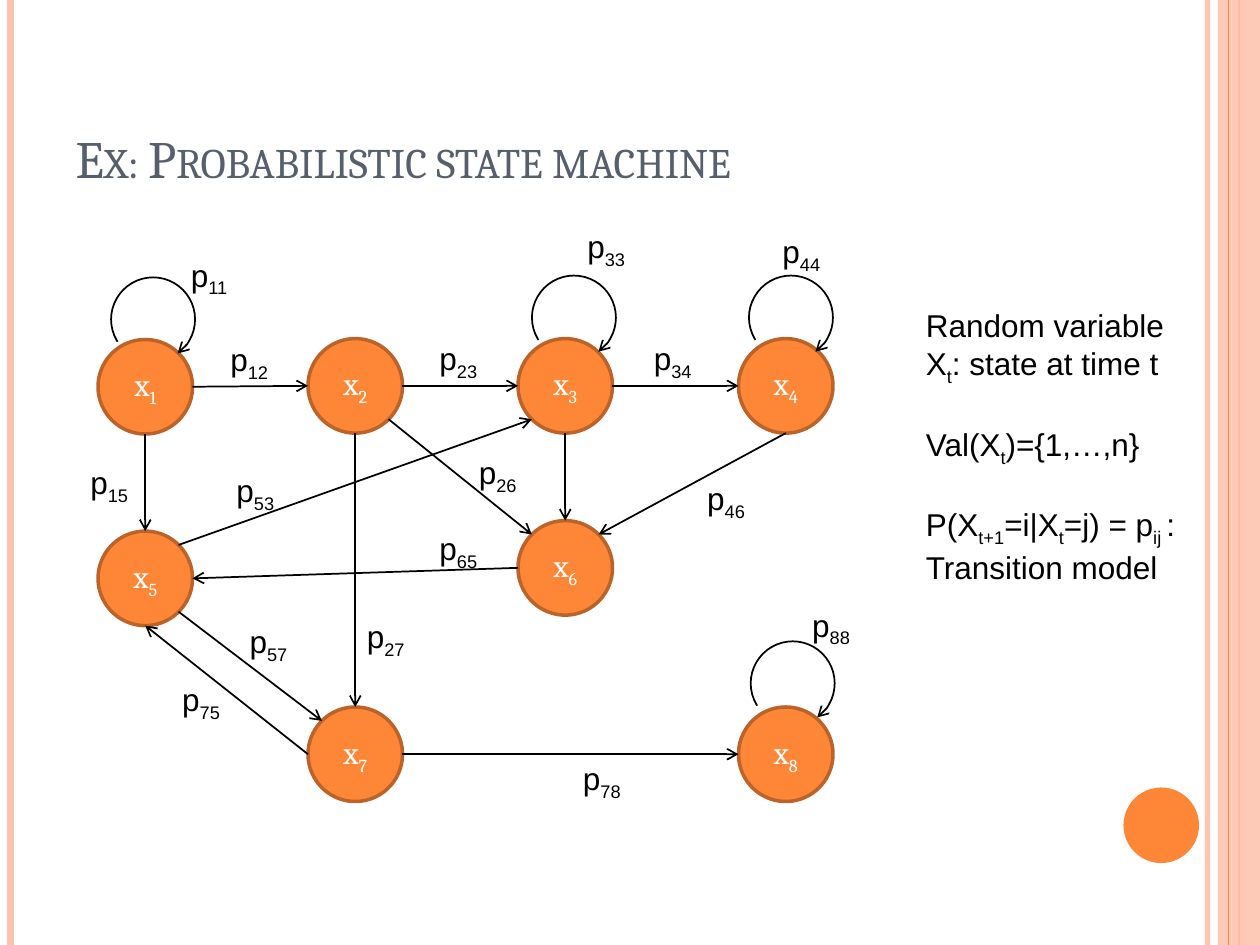
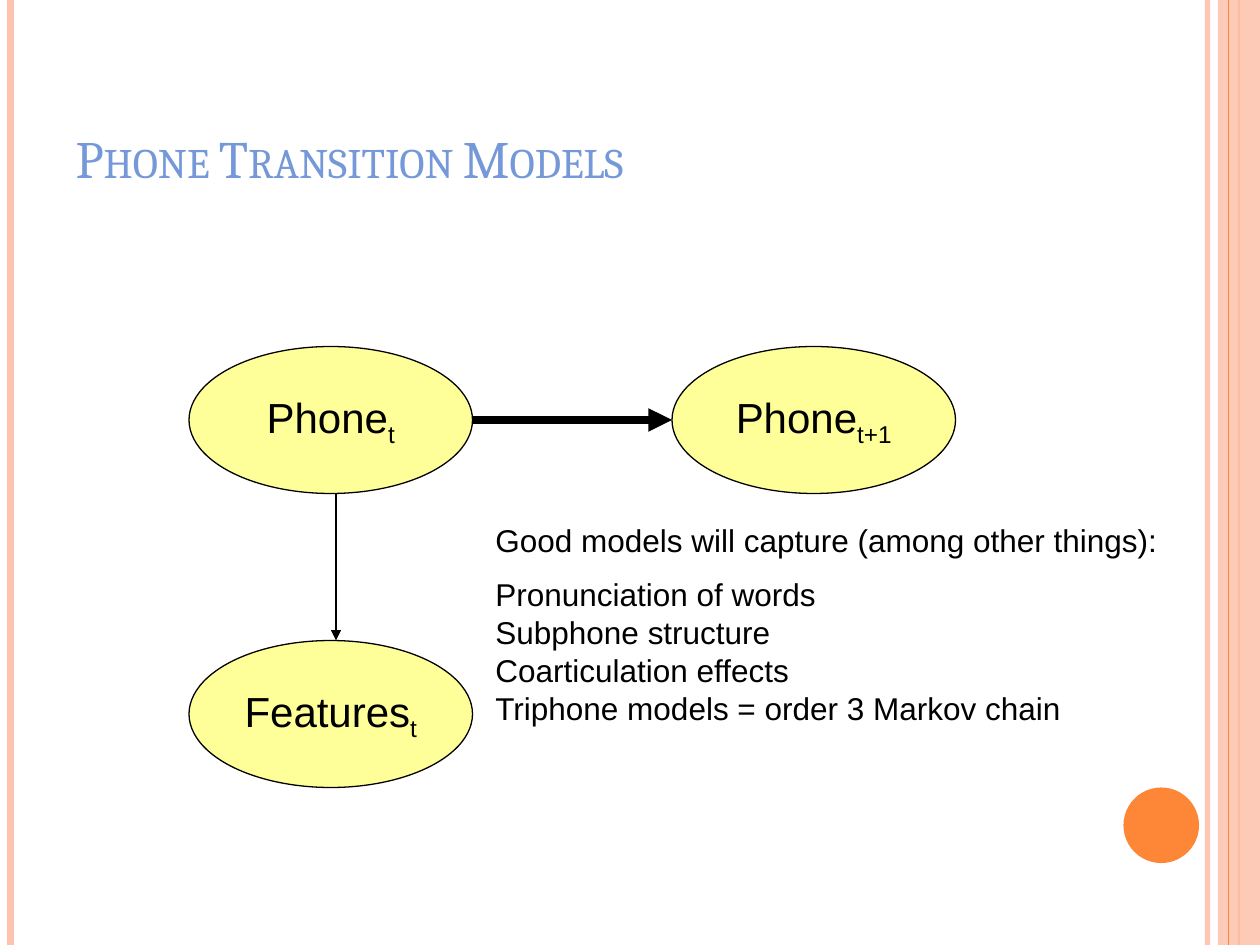
from math import sqrt

from lxml.etree import SubElement
from pptx import Presentation
from pptx.dml.color import RGBColor
from pptx.enum.shapes import MSO_CONNECTOR, MSO_SHAPE as SHAPE
from pptx.enum.text import MSO_ANCHOR as ANCHOR, MSO_AUTO_SIZE as FIT, PP_ALIGN as ALIGN
from pptx.oxml.ns import qn
from pptx.util import Pt

BLACK = RGBColor(0x00, 0x00, 0x00)
WHITE = RGBColor(0xFF, 0xFF, 0xFF)
ORANGE = RGBColor(0xFE, 0x86, 0x37)
RUST = RGBColor(0xBC, 0x63, 0x29)
PEACH = RGBColor(0xFE, 0xC3, 0xAE)
YELLOW = RGBColor(0xFF, 0xFF, 0x99)
SLATE = RGBColor(0x57, 0x5F, 0x6D)
BLUE = RGBColor(0x75, 0x98, 0xD9)
SERIF, SANS = "Cambria", "Arial"
WIDTH, HEIGHT = 720, 540

DIAMETER = 54
RADIUS = DIAMETER / 2
DIAGONAL = RADIUS / sqrt(2)
SIDES = {
    "n": (0, -RADIUS), "s": (0, RADIUS), "w": (-RADIUS, 0), "e": (RADIUS, 0),
    "nw": (-DIAGONAL, -DIAGONAL), "ne": (DIAGONAL, -DIAGONAL),
    "sw": (-DIAGONAL, DIAGONAL), "se": (DIAGONAL, DIAGONAL),
}
STATES = {
    1: (56, 194), 2: (176, 193.5), 3: (296, 193.5), 4: (422, 193.5),
    5: (56, 303.5), 6: (296, 297.5), 7: (176, 404), 8: (422, 404),
}
TRANSITIONS = [
    (1, "e", 2, "w"), (2, "e", 3, "w"), (3, "e", 4, "w"), (1, "s", 5, "n"),
    (5, "ne", 3, "sw"), (2, "se", 6, "nw"), (3, "s", 6, "n"), (5, "se", 7, "nw"),
    (2, "s", 7, "n"), (7, "e", 8, "w"), (6, "w", 5, "e"), (4, "s", 6, "ne"),
    (7, "w", 5, "s"),
]
LOOPS = [(304, 157.5), (428, 157.5), (429, 366.5), (63.5, 158.5)]
PROBABILITIES = {
    11: (102, 142.5), 12: (124.5, 191), 15: (44.5, 261), 53: (128, 265.5),
    65: (244, 299), 23: (244, 190), 33: (328.5, 126), 34: (366.5, 190),
    44: (440, 129), 46: (397, 270), 26: (266.5, 255.5), 27: (202.5, 349),
    88: (457, 342.5), 78: (326, 430), 57: (135.5, 352), 75: (97, 385),
}


class Deck:
    def __init__(self):
        self.prs = Presentation()
        self.prs.slide_width, self.prs.slide_height = Pt(WIDTH), Pt(HEIGHT)

    def add_slide(self, title, color):
        self.s = self.prs.slides.add_slide(self.prs.slide_layouts[5])
        self.rule(690, PEACH, 3, 93)
        self.rule(6, PEACH, 4.5)
        self.rule(708, ORANGE, 1.5)
        band = self.shape(SHAPE.RECTANGLE, 696, 0, 24, HEIGHT, PEACH)
        self.fade(band, 87)
        self.rule(702, ORANGE, 0.75)
        self.shape(SHAPE.OVAL, 642, 450, 43.2, 43.2, ORANGE)
        self.title(title, color)

    def title(self, text, color):
        sp = self.s.shapes.title
        sp.left, sp.top, sp.width, sp.height = Pt(36), Pt(21.6), Pt(588), Pt(90)
        self.set_lines(sp, [text], SERIF, 30, color, ALIGN.LEFT, ANCHOR.BOTTOM, wrap=True)
        for r in sp.text_frame.paragraphs[0].runs:
            r._r.get_or_add_rPr().set("cap", "small")

    def set_lines(self, sp, lines, font, size, color, align=ALIGN.LEFT,
                  anchor=ANCHOR.TOP, wrap=False, gaps=None):
        tf = sp.text_frame
        tf.auto_size, tf.word_wrap, tf.vertical_anchor = FIT.NONE, wrap, anchor
        for i, line in enumerate(lines):
            p = tf.add_paragraph() if i else tf.paragraphs[0]
            p.alignment = align
            p.space_before = Pt((gaps or {}).get(i, 0))
            p.font.name, p.font.size, p.font.color.rgb = font, Pt(size), color
            for j, part in enumerate(line.split("~")):
                if part:
                    r = p.add_run()
                    r.text = part
                    if j % 2:
                        r._r.get_or_add_rPr().set("baseline", "-25000")

    def text(self, x, y, w, h, lines, **style):
        sp = self.s.shapes.add_textbox(Pt(x), Pt(y), Pt(w), Pt(h))
        self.set_lines(sp, lines, SANS, 18, BLACK, **style)

    def shape(self, kind, x, y, w, h, fill=None, line=None, weight=1):
        sp = self.s.shapes.add_shape(kind, Pt(x), Pt(y), Pt(w), Pt(h))
        sp.shadow.inherit = False
        if fill is None:
            sp.fill.background()
        else:
            sp.fill.solid()
            sp.fill.fore_color.rgb = fill
        if line is None:
            sp.line.fill.background()
        else:
            sp.line.color.rgb, sp.line.width = line, Pt(weight)
        return sp

    def state(self, number, x, y):
        sp = self.shape(SHAPE.OVAL, x, y, DIAMETER, DIAMETER, ORANGE, RUST, 2)
        self.set_lines(sp, [f"x~{number}~"], SERIF, 18, WHITE, ALIGN.CENTER, ANCHOR.MIDDLE)

    def variable(self, x, y, text):
        sp = self.shape(SHAPE.OVAL, x, y, 162, 84, YELLOW, BLACK, 0.75)
        self.set_lines(sp, [text], SANS, 24, BLACK, ALIGN.CENTER, ANCHOR.MIDDLE)

    def loop(self, x, y):
        sp = self.shape(SHAPE.ARC, x, y, 48, 48, line=BLACK)
        sp.adjustments[0], sp.adjustments[1] = 88.63, 32.58
        self.arrowhead(sp, "arrow")

    def line(self, start, end, color=BLACK, weight=1.0, head=None):
        sp = self.s.shapes.add_connector(
            MSO_CONNECTOR.STRAIGHT, *(Pt(v) for v in (*start, *end)))
        sp.line.color.rgb, sp.line.width = color, Pt(weight)
        if head:
            self.arrowhead(sp, head)
        SubElement(sp._element.spPr, qn("a:effectLst"))
        return sp

    def rule(self, x, color, weight, opacity=100):
        sp = self.line((x, 0), (x, HEIGHT), color, weight)
        if opacity < 100:
            self.fade(sp, opacity)

    def arrowhead(self, sp, head):
        SubElement(sp._element.spPr.find(qn("a:ln")), qn("a:tailEnd"), type=head)

    def fade(self, sp, opacity):
        color = sp._element.spPr.find(".//" + qn("a:srgbClr"))
        SubElement(color, qn("a:alpha"), val=str(opacity * 1000))


def anchor_point(state, side):
    (x, y), (dx, dy) = STATES[state], SIDES[side]
    return x + RADIUS + dx, y + RADIUS + dy


def state_machine(deck):
    deck.add_slide("Ex: Probabilistic state machine", SLATE)
    for number, (x, y) in STATES.items():
        deck.state(number, x, y)
    for source, out_side, target, in_side in TRANSITIONS:
        deck.line(anchor_point(source, out_side), anchor_point(target, in_side), head="arrow")
    for x, y in LOOPS:
        deck.loop(x, y)
    for pair, (x, y) in PROBABILITIES.items():
        deck.text(x, y, 38, 29, [f"p~{pair}~"])
    deck.text(522, 171.5, 162, 160, [
        "Random variable",
        "X~t~: state at time t",
        "Val(X~t~)={1,…,n}",
        "P(X~t+1~=i|X~t~=j) = p~ij ~:",
        "Transition model",
    ], gaps={2: 21.5, 3: 21.5})


def phone_models(deck):
    deck.add_slide("Phone Transition Models", BLUE)
    deck.variable(108, 198, "Phone~t~")
    deck.line((192, 282), (192, 366), weight=0.75, head="triangle")
    deck.variable(108, 366, "Features~t~")
    deck.text(276, 294, 480, 126, [
        "Good models will capture (among other things):",
        "Pronunciation of words",
        "Subphone structure",
        "Coarticulation effects",
        "Triphone models = order 3 Markov chain",
    ], wrap=True, gaps={1: 9.5})
    deck.variable(384, 198, "Phone~t+1~")
    deck.line((270, 240), (384, 240), weight=4.5, head="triangle")


def main():
    deck = Deck()
    state_machine(deck)
    phone_models(deck)
    deck.prs.save("out.pptx")


if __name__ == "__main__":
    main()
